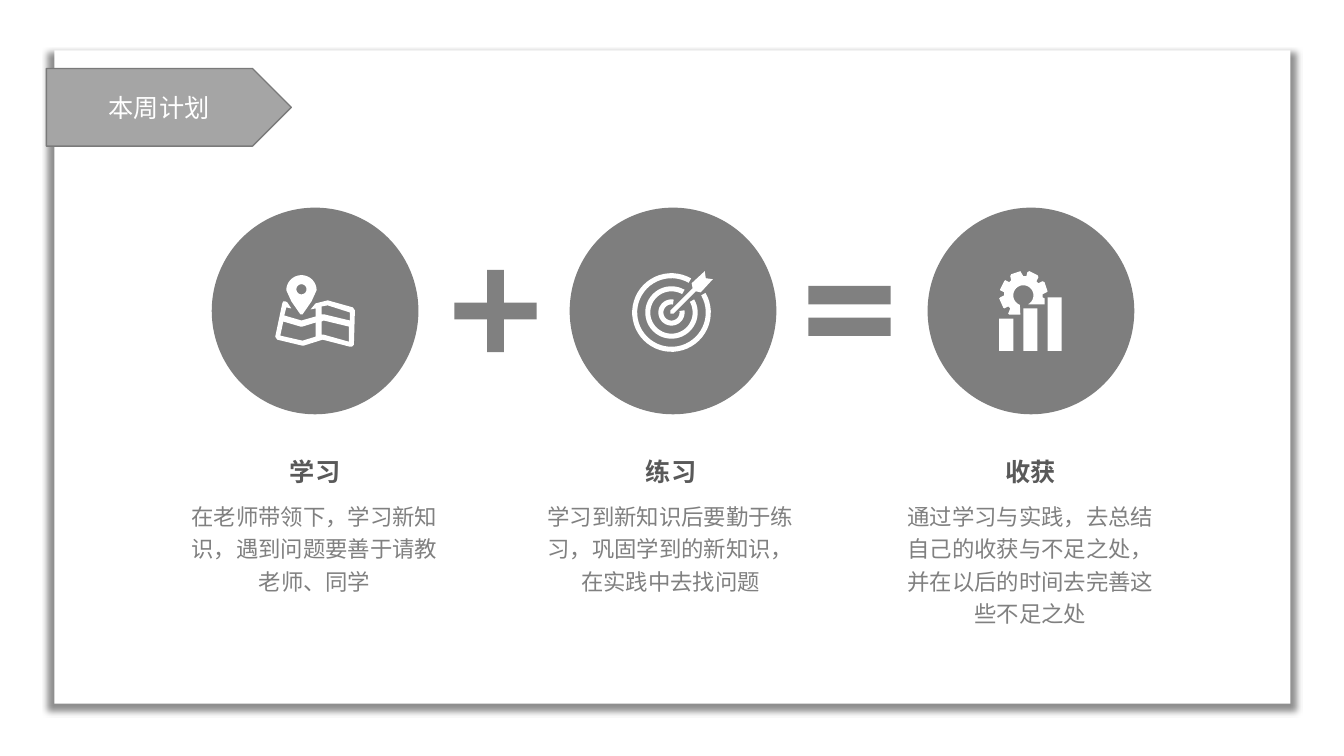
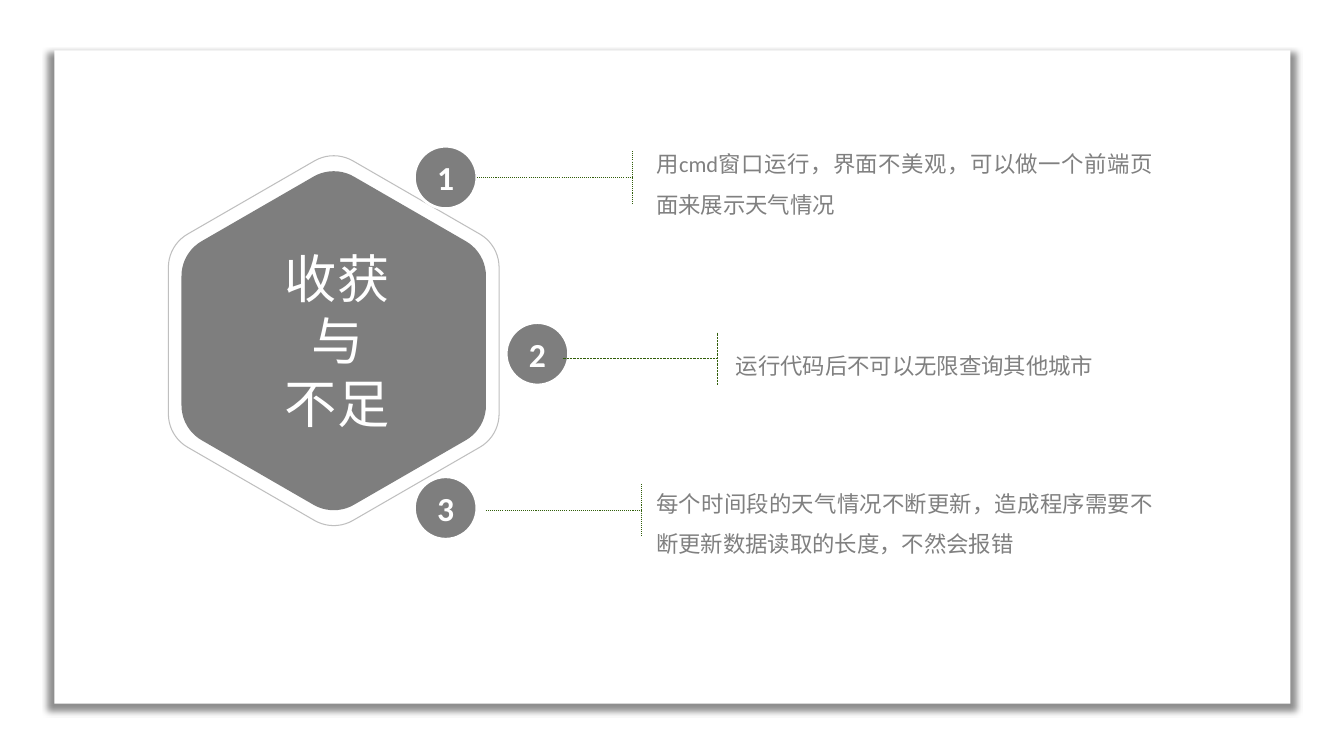
import math

import pptx
import pptx.dml.color
import pptx.enum.dml
import pptx.enum.shapes
import pptx.enum.text
import pptx.oxml
import pptx.oxml.ns
import pptx.util

Inches = pptx.util.Inches
Pt = pptx.util.Pt
SHAPE = pptx.enum.shapes.MSO_SHAPE
ALIGN = pptx.enum.text.PP_ALIGN
ANCHOR = pptx.enum.text.MSO_ANCHOR

# Shared look
FONT = "Calibri"
WHITE, GRAY, DISC = "FFFFFF", "808080", "7E7E7E"
BANNER, BANNER_EDGE, HEADING = "A5A5A5", "7A7A7A", "595959"
OUTLINE, GREEN = "BFBFBF", "325F0B"
STYLES = {
    "banner": {"size": Pt(18), "color": WHITE},
    "heading": {"size": Pt(18), "bold": True, "color": HEADING},
    "body": {"size": Pt(16), "color": GRAY},
    "hexagon": {"size": Pt(37.3), "color": WHITE},
    "number": {"size": Pt(24), "bold": True, "color": WHITE},
}
INSETS = (0.1, 0.05, 0.1, 0.05)
NO_INSETS = (0, 0, 0, 0)


def color(hex_text):
    return pptx.dml.color.RGBColor.from_string(hex_text)


def paint(shape, fill=None, line=None, width=1):
    shape.shadow.inherit = False
    if fill:
        shape.fill.solid()
        shape.fill.fore_color.rgb = color(fill)
    else:
        shape.fill.background()
    if line:
        shape.line.color.rgb = color(line)
        shape.line.width = Pt(width)
    else:
        shape.line.fill.background()


def add_shape(slide, kind, box, fill, line=None, width=1):
    shape = slide.shapes.add_shape(kind, *map(Inches, box))
    paint(shape, fill, line, width)
    return shape


def write(shape, lines, style, align=ALIGN.CENTER, spacing=1.0,
          anchor=ANCHOR.MIDDLE, insets=INSETS):
    frame = shape.text_frame
    frame.word_wrap = True
    frame.vertical_anchor = anchor
    for side, inset in zip(("left", "top", "right", "bottom"), insets):
        setattr(frame, "margin_" + side, Inches(inset))
    for index, text in enumerate(lines):
        paragraph = frame.add_paragraph() if index else frame.paragraphs[0]
        paragraph.alignment = align
        paragraph.line_spacing = spacing
        run = paragraph.add_run()
        run.text = text
        run.font.name = FONT
        for name, value in STYLES[style].items():
            if name == "color":
                run.font.color.rgb = color(value)
            else:
                setattr(run.font, name, value)


def add_text(slide, box, lines, style, **layout):
    text_box = slide.shapes.add_textbox(*map(Inches, box))
    write(text_box, lines, style, anchor=ANCHOR.TOP, **layout)
    text_box.text_frame.auto_size = pptx.enum.text.MSO_AUTO_SIZE.SHAPE_TO_FIT_TEXT


def add_outline(slide, left, top, contours, **look):
    """Draw closed contours, whose points are inches from left and top."""
    builder = None
    for contour in contours:
        points = [(Inches(left + x), Inches(top + y)) for x, y in contour]
        if builder is None:
            builder = slide.shapes.build_freeform(*points[0])
        else:
            builder.move_to(*points[0])
        builder.add_line_segments(points[1:], close=True)
    paint(builder.convert_to_shape(), **look)


def add_dotted_line(slide, start, end, width):
    connector = slide.shapes.add_connector(
        pptx.enum.shapes.MSO_CONNECTOR.STRAIGHT, *map(Inches, start + end))
    connector.line.color.rgb = color(GREEN)
    connector.line.width = Pt(width)
    connector.line.dash_style = pptx.enum.dml.MSO_LINE.ROUND_DOT
    connector._element.spPr.append(pptx.oxml.parse_xml(
        "<a:effectLst %s/>" % pptx.oxml.ns.nsdecls("a")))


def arc(x, y, radius, start=0, end=360, steps=48):
    """Points on a circle, in degrees counted anticlockwise from the right."""
    angles = [math.radians(start + (end - start) * step / steps)
              for step in range(steps + 1)]
    return [(x + radius * math.cos(angle), y - radius * math.sin(angle))
            for angle in angles]


def add_panel(slide):
    """White page panel with a soft shadow."""
    panel = add_shape(slide, SHAPE.RECTANGLE, (0.54, 0.5, 12.26, 6.48), WHITE)
    effects = panel._element.spPr.find(pptx.oxml.ns.qn("a:effectLst"))
    effects.append(pptx.oxml.parse_xml(
        '<a:outerShdw %s blurRad="50800" dist="50800" dir="5400000" sx="101000"'
        ' sy="101000" algn="ctr" rotWithShape="0"><a:srgbClr val="000000">'
        '<a:alpha val="43000"/></a:srgbClr></a:outerShdw>'
        % pptx.oxml.ns.nsdecls("a")))


# Icons, as contours inside a square of about 0.8 inches
def map_icon():
    pin = arc(0.26, 0.15, 0.15, 0, 180) + [
        (0.16, 0.26), (0.25, 0.39), (0.27, 0.39), (0.36, 0.26)]
    sheet = [
        (0.52, 0.25), (0.77, 0.32), (0.79, 0.35), (0.78, 0.69), (0.76, 0.71),
        (0.74, 0.71), (0.47, 0.64), (0.28, 0.7), (0.27, 0.7), (0.02, 0.64),
        (0, 0.61), (0.07, 0.28), (0.08, 0.26), (0.1, 0.26), (0.12, 0.27),
        (0.16, 0.33), (0.11, 0.32), (0.09, 0.4), (0.26, 0.45), (0.4, 0.41),
        (0.4, 0.33), (0.35, 0.34), (0.4, 0.28)]
    windows = [
        [(0.08, 0.46), (0.05, 0.6), (0.27, 0.65), (0.4, 0.61), (0.4, 0.47),
         (0.27, 0.51), (0.25, 0.51)],
        [(0.48, 0.45), (0.46, 0.46), (0.46, 0.59), (0.48, 0.59), (0.73, 0.66),
         (0.73, 0.51)],
        [(0.52, 0.3), (0.46, 0.31), (0.46, 0.39), (0.49, 0.39), (0.74, 0.45),
         (0.74, 0.37)]]
    return [sheet, *windows, pin, arc(0.26, 0.14, 0.05)]


def target_icon():
    rings = []
    for outer, inner, gap in ((0.39, 0.34, 15), (0.26, 0.21, 15), (0.13, 0.08, 35)):
        start, end = 45 + gap, 405 - gap
        rings.append(arc(0.38, 0.41, outer, start, end)
                     + arc(0.38, 0.41, inner, end, start))
    arrow = [(0.71, 0), (0.72, 0.07), (0.79, 0.08), (0.67, 0.21), (0.62, 0.2),
             (0.4, 0.42), (0.37, 0.42), (0.37, 0.39), (0.59, 0.17), (0.58, 0.12)]
    return rings + [arrow]


def gear_icon():
    bars = [[(x, y), (x + 0.14, y), (x + 0.14, 0.79), (x, 0.79)]
            for x, y in ((0, 0.47), (0.24, 0.37), (0.48, 0.26))]
    right_teeth = [
        (0.21, 0), (0.24, 0.05), (0.27, 0.05), (0.28, 0.01), (0.3, 0),
        (0.38, 0.04), (0.39, 0.06), (0.37, 0.1), (0.39, 0.12), (0.43, 0.1),
        (0.45, 0.11), (0.48, 0.2), (0.47, 0.21), (0.43, 0.23), (0.43, 0.26),
        (0.45, 0.27), (0.45, 0.33), (0.29, 0.33)]
    left_teeth = [
        (0.21, 0.43), (0.1, 0.43), (0.09, 0.42), (0.11, 0.37), (0.09, 0.35),
        (0.05, 0.37), (0.04, 0.36), (0, 0.27), (0.01, 0.26), (0.05, 0.24),
        (0.05, 0.21), (0.01, 0.19), (0.01, 0.18), (0.05, 0.1), (0.06, 0.09),
        (0.1, 0.11), (0.12, 0.09), (0.11, 0.05), (0.12, 0.03)]
    return bars + [right_teeth + arc(0.24, 0.24, 0.1, -60, 250) + left_teeth]


# Weekly plan slide
def add_banner(slide, box, title):
    banner = add_shape(slide, SHAPE.PENTAGON, box, BANNER, BANNER_EDGE)
    write(banner, [title], "banner")


def add_step(slide, left, top, icon, offset, text_left, heading, body):
    add_shape(slide, SHAPE.OVAL, (left, top, 2.05, 2.05), DISC)
    add_outline(slide, left + offset[0], top + offset[1], icon, fill=WHITE)
    add_text(slide, (text_left + 0.12, top + 2.36, 2.45, 0.46), [heading],
             "heading", spacing=1.2)
    add_text(slide, (text_left, top + 2.83, 2.68, 1.07), [body], "body", spacing=1.2)


def add_sign(slide, kind, left, top, adjustments):
    sign = add_shape(slide, kind, (left, top, 1.11, 1.11), GRAY)
    for index, value in enumerate(adjustments):
        sign.adjustments[index] = value


def build_plan(slide):
    add_panel(slide)
    steps = (
        (map_icon(), (0.63, 0.67), 1.78, "学习",
         "在老师带领下，学习新知识，遇到问题要善于请教老师、同学"),
        (target_icon(), (0.63, 0.63), 5.31, "练习",
         "学习到新知识后要勤于练习，巩固学到的新知识，在实践中去找问题"),
        (gear_icon(), (0.71, 0.63), 8.88, "收获",
         "通过学习与实践，去总结自己的收获与不足之处，并在以后的时间去完善这些不足之处"),
    )
    for index, step in enumerate(steps):
        add_step(slide, 2.1 + 3.55 * index, 2.06, *step)
    add_sign(slide, SHAPE.MATH_PLUS, 4.36, 2.53, (0.149,))
    add_sign(slide, SHAPE.MATH_EQUAL, 7.87, 2.53, (0.164, 0.118))
    add_banner(slide, (0.46, 0.68, 2.43, 0.77), "本周计划")


# Gains and gaps slide
def rounded_hexagon(half_width, radius):
    """Upright hexagon around the origin, with rounded corners."""
    reach = (half_width - radius) / math.cos(math.radians(30))
    points = []
    for angle in range(30, 390, 60):
        (x, y), = arc(0, 0, reach, angle, angle, 1)[:1]
        points += arc(x, y, radius, angle - 30, angle + 30, 10)
    return points


def add_hexagon(slide, x, y, lines):
    add_outline(slide, x, y, [rounded_hexagon(1.51, 0.4)], fill=DISC)
    add_text(slide, (x - 0.73, y - 0.94, 1.53, 1.88), lines, "hexagon",
             insets=NO_INSETS)
    add_outline(slide, x, y, [rounded_hexagon(1.64, 0.38)], line=OUTLINE, width=0.75)


def add_point(slide, number, disc, branch, width, text_box, text):
    badge = add_shape(slide, SHAPE.OVAL, (*disc, 0.62, 0.62), DISC, WHITE, 2)
    write(badge, [str(number)], "number")
    x, y = branch
    end = x + 1.54
    add_dotted_line(slide, (x, y), (end, y), width)
    add_dotted_line(slide, (end, y - 0.26), (end, y + 0.26), width)
    add_text(slide, text_box, [text], "body", align=ALIGN.JUSTIFY, spacing=1.5,
             insets=NO_INSETS)


def build_gains(slide):
    add_panel(slide)
    add_hexagon(slide, 3.31, 3.38, ["收获与", "不足"])
    points = (
        ((4.11, 1.45), (4.73, 1.76), 0.75, (6.51, 1.36, 4.93, 0.81),
         "用cmd窗口运行，界面不美观，可以做一个前端页面来展示天气情况"),
        ((5.02, 3.2), (5.58, 3.56), 0.5, (7.3, 3.36, 4.93, 0.4),
         "运行代码后不可以无限查询其他城市"),
        ((4.11, 4.73), (4.82, 5.06), 0.75, (6.51, 4.73, 4.93, 0.81),
         "每个时间段的天气情况不断更新，造成程序需要不断更新数据读取的长度，不然会报错"),
    )
    for number, point in enumerate(points, 1):
        add_point(slide, number, *point)


def main():
    presentation = pptx.Presentation()
    presentation.slide_width = Inches(13.33)
    presentation.slide_height = Inches(7.5)
    for build in (build_plan, build_gains):
        build(presentation.slides.add_slide(presentation.slide_layouts[6]))
    presentation.save("out.pptx")


if __name__ == "__main__":
    main()
